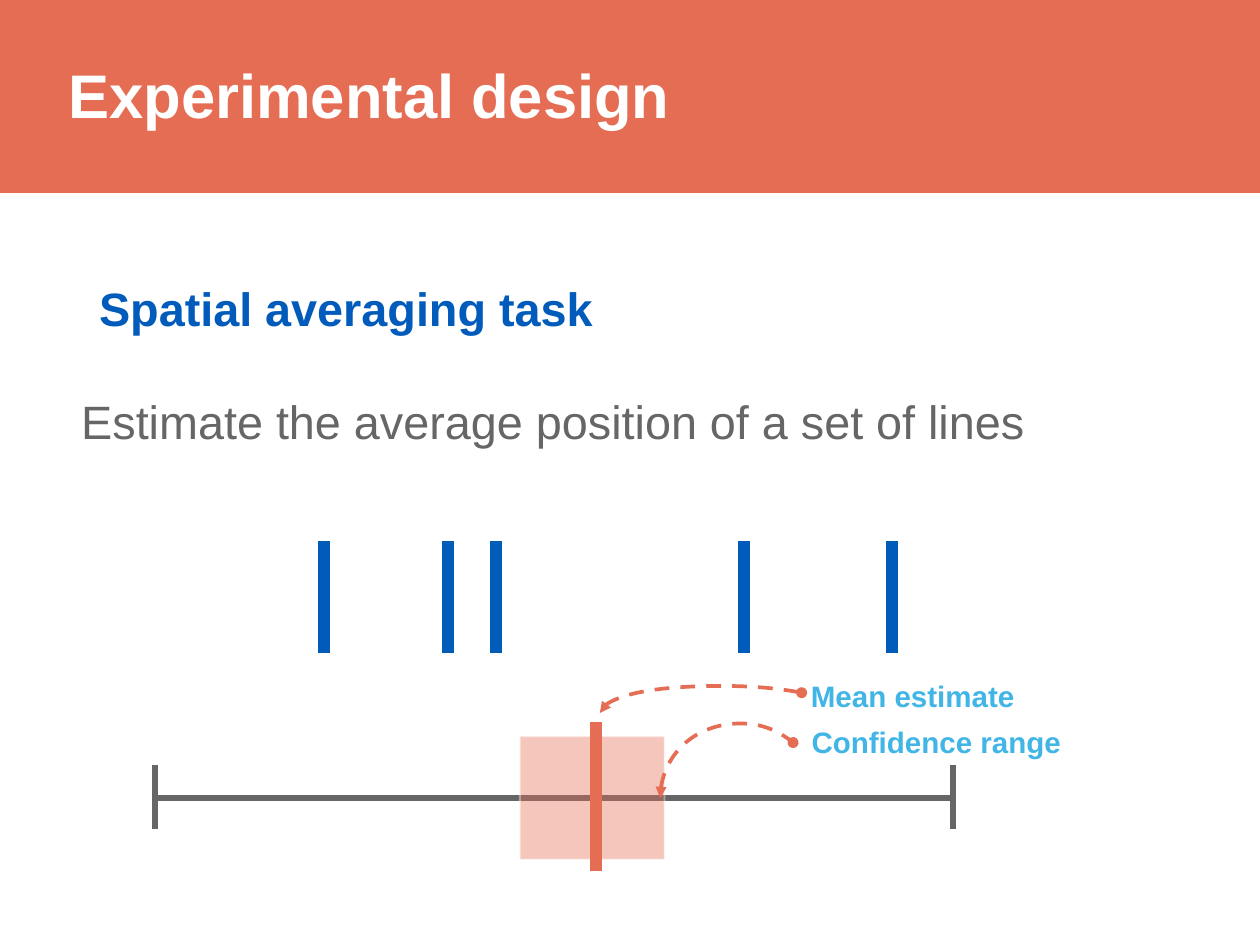
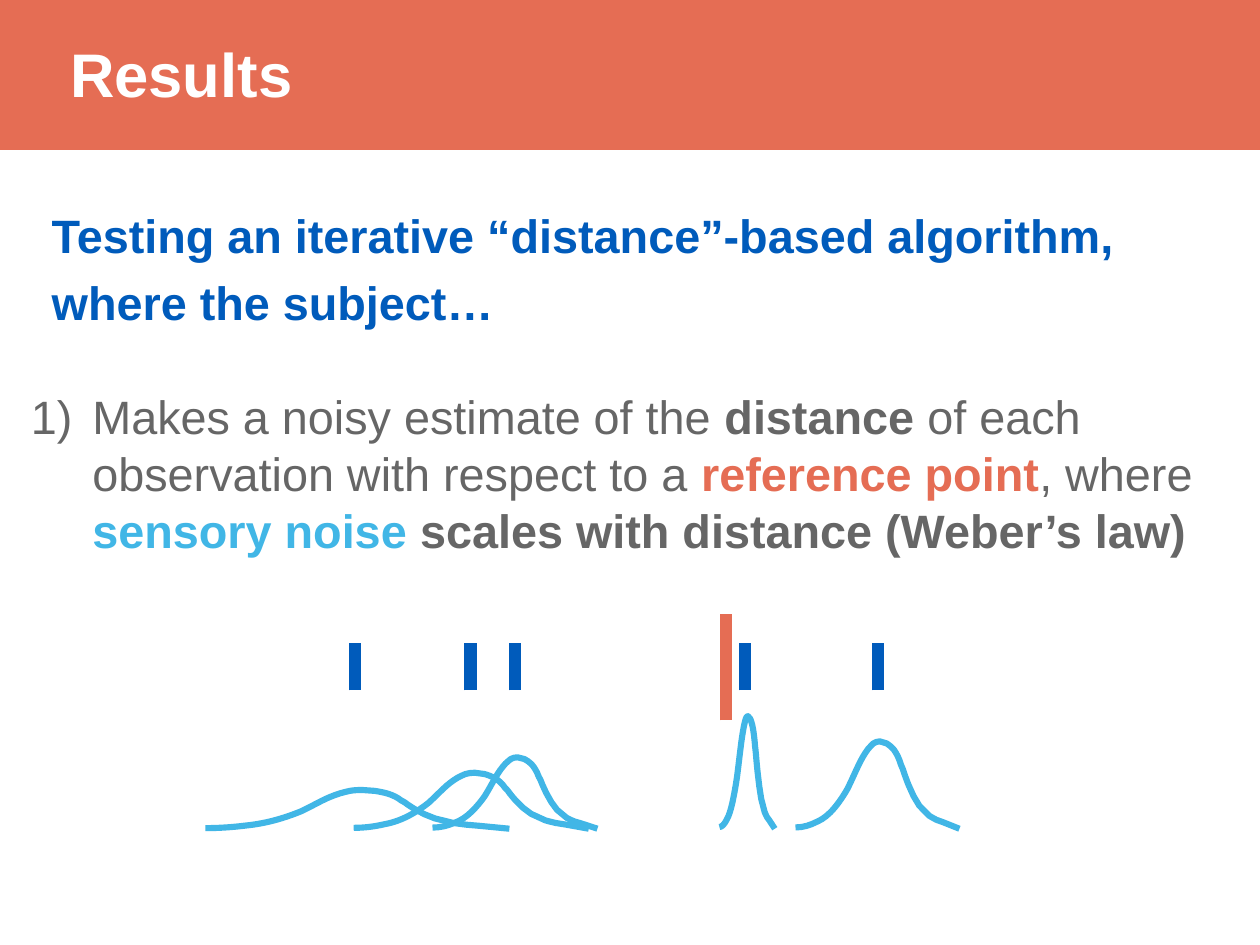
from lxml.etree import SubElement, Element
from pptx import Presentation
from pptx.dml.color import RGBColor
from pptx.enum.dml import MSO_LINE
from pptx.enum.shapes import MSO_CONNECTOR, MSO_SHAPE
from pptx.enum.text import MSO_ANCHOR, MSO_AUTO_SIZE, PP_ALIGN
from pptx.oxml.ns import qn
from pptx.util import Pt


class Theme:
    font = "Arial"
    coral = RGBColor(0xE5, 0x6D, 0x54)
    blue = RGBColor(0x00, 0x5B, 0xBB)
    sky = RGBColor(0x41, 0xB6, 0xE6)
    gray = RGBColor(0x66, 0x66, 0x66)
    white = RGBColor(0xFF, 0xFF, 0xFF)
    title = 50
    body = 38
    label = 24


def write(shape, box, rows, size, color, bold=False, before=0, lead=None):
    shape.left, shape.top, shape.width, shape.height = map(Pt, box)
    frame = shape.text_frame
    frame.word_wrap = True
    frame.auto_size = MSO_AUTO_SIZE.NONE
    frame.vertical_anchor = MSO_ANCHOR.MIDDLE
    frame.margin_left = frame.margin_right = Pt(4)
    frame.margin_top = frame.margin_bottom = Pt(4)
    frame.text = "\n".join(rows)
    for para in frame.paragraphs:
        para.alignment = PP_ALIGN.LEFT
        para.space_before = Pt(before)
        para.line_spacing = Pt(lead) if lead else 1.0
        para.font.name = Theme.font
        para.font.size = Pt(size)
        para.font.bold = bold
        para.font.color.rgb = color
    return frame


def ink(shape, color, width):
    shape.line.color.rgb = color
    shape.line.width = Pt(width)
    SubElement(shape._element.spPr, qn("a:effectLst"))


deck = Presentation()
deck.slide_width, deck.slide_height = Pt(1024), Pt(768)

pages = []
for name, depth, left, top in [("Experimental design", 159, 51.5, 44.5),
                               ("Results", 124.5, 53, 27.5)]:
    page = deck.slides.add_slide(deck.slide_layouts[1])
    head = page.shapes.title
    write(head, (left, top, 842, 63.5), [name],
          Theme.title, Theme.white, True)
    band = page.shapes.add_shape(MSO_SHAPE.RECTANGLE, Pt(-4), Pt(-3),
                                 Pt(1058), Pt(depth))
    band.fill.solid()
    band.fill.fore_color.rgb = Theme.coral
    ink(band, Theme.coral, 1)
    head._element.addprevious(band._element)
    pages.append(page)
design, results = pages

texts = [
    (design, (76.5, 198, 410, 104), ["Spatial averaging task"],
     Theme.body, Theme.blue, True, 12),
    (design, (655.5, 585.5, 217.5, 34.5), ["Confidence range"],
     Theme.label, Theme.sky, True),
    (design, (655, 548.5, 217.5, 34.5), ["Mean estimate"],
     Theme.label, Theme.sky, True),
    (results, (38, 137.5, 876, 160.5),
     ["Testing an iterative “distance”-based algorithm,",
      "where the subject…"], Theme.body, Theme.blue, True, 8, 46),
]
for page, *rest in texts:
    write(page.shapes.add_textbox(0, 0, 0, 0), *rest)

frame = write(design.placeholders[1], (62, 288, 780, 108),
              ["Estimate the average position of a set of lines"],
              Theme.body, Theme.gray, before=10, lead=46)
props = frame.paragraphs[0]._p.pPr
props.set("marL", "0")
props.set("indent", "0")
props[-1].addprevious(Element(qn("a:buNone")))

frame = write(results.placeholders[1], (21, 282.5, 1008, 203), [""],
              Theme.body, Theme.gray, before=12, lead=46)
para = frame.paragraphs[0]
props = para._p.pPr
props.set("marL", str(Pt(50)))
props.set("indent", str(Pt(-50)))
props[-1].addprevious(Element(qn("a:buAutoNum"), type="arabicParenR"))
for words, color, bold in [
    ("Makes a noisy estimate of the ", Theme.gray, False),
    ("distance", Theme.gray, True),
    (" of each observation with respect to a ", Theme.gray, False),
    ("reference point", Theme.coral, True),
    (", where ", Theme.gray, False),
    ("sensory noise ", Theme.sky, True),
    ("scales with distance (Weber’s law)", Theme.gray, True),
]:
    run = para.add_run()
    run.text = words
    run.font.bold = bold
    run.font.color.rgb = color

area = design.shapes.add_shape(MSO_SHAPE.RECTANGLE, Pt(422.5), Pt(598.5),
                               Pt(117.5), Pt(100))
area.fill.solid()
area.fill.fore_color.rgb = Theme.coral
ink(area, Theme.white, 1.5)
for tone in area._element.spPr.iter(qn("a:srgbClr")):
    SubElement(tone, qn("a:alpha"), val="39000")

lines = [(design, x, 531, x, 439.5, Theme.blue, 10)
         for x in (263.5, 364.3, 403.2, 604.8, 725)]
lines += [(results, x, 561, x, 522.3, Theme.blue, 10)
          for x in (288.7, 382.3, 418.3, 605.5, 713.5)]
lines += [(design, x, 673.5, x, 622, Theme.gray, 5) for x in (126, 774.7)]
lines += [
    (design, 125.5, 648.7, 774, 648.7, Theme.gray, 5),
    (design, 484.5, 708, 484.5, 587, Theme.coral, 10),
    (results, 590.3, 585.5, 590.3, 499, Theme.coral, 10),
]
for page, *ends, color, width in lines:
    link = page.shapes.add_connector(MSO_CONNECTOR.STRAIGHT, *map(Pt, ends))
    ink(link, color, width)
    if color == Theme.gray:
        area._element.addprevious(link._element)

bell = [
    (0, 98.5),
    (4.7, 98.5, 9, 96, 13.1, 92),
    (17, 89, 20.4, 83.5, 23.6, 76.5),
    (26.5, 70, 29.4, 62, 31.8, 54),
    (34, 45.7, 36, 37, 38.2, 28.3),
    (40, 21, 42, 14.5, 44.3, 8.7),
    (45.5, 6.3, 46.5, 4, 47.5, 2.4),
    (48.7, 0.8, 50.1, 0, 51.5, 0),
    (55.7, 2.4),
    (57, 4, 58.6, 6.3, 60, 9.5),
    (61.8, 14, 63.3, 20, 64.4, 27),
    (65.2, 30, 66, 34, 66.5, 37.5),
    (67.3, 41.5, 68, 45.5, 69, 50),
    (72, 62.5), (75.5, 73.5), (81.5, 85),
    (82.3, 86, 83.2, 87, 84, 87.8),
    (84.7, 88.6, 85.4, 89.2, 86, 89.8),
    (90, 92.5), (100, 100),
]
range_arc = [(536.5, 648.5), (536.5, 615.5, 566, 588, 602, 588),
             (618, 588, 633, 594, 644.5, 603.5)]
mean_arc = [(487.5, 579.5), (487.5, 567.5, 532, 557.5, 587, 557.5),
            (610.5, 557.5, 633.5, 559.5, 651.5, 563)]

curves = [(design, arc, 0, 0, 1, 1) for arc in (range_arc, mean_arc)]
curves += [(results, bell, left, 673.5 - high, wide / 100, high / 100)
           for left, wide, high in [(584.7, 45, 91.5), (646.5, 133.2, 71),
                                    (351.5, 134, 58), (287.5, 191, 45.5),
                                    (167, 247, 31.5)]]
for page, route, left, top, across, down in curves:
    legs = [[(Pt(left + x * across), Pt(top + y * down))
             for x, y in zip(leg[::2], leg[1::2])] for leg in route]
    pen = page.shapes.build_freeform(*legs[0][-1], scale=1.0)
    pen.add_line_segments([leg[-1] for leg in legs[1:]], close=False)
    curve = pen.convert_to_shape()
    parts = list(curve._element.spPr.iter(qn("a:lnTo")))
    for part, leg in zip(parts, legs[1:]):
        if len(leg) == 3:
            bend = Element(qn("a:cubicBezTo"))
            for x, y in leg:
                SubElement(bend, qn("a:pt"), x=str(x - curve.left),
                           y=str(y - curve.top))
            part.getparent().replace(part, bend)
    curve.fill.background()
    if page is results:
        ink(curve, Theme.sky, 5)
    else:
        ink(curve, Theme.coral, 3)
        curve.line.dash_style = MSO_LINE.DASH
        edge = curve._element.spPr.find(qn("a:ln"))
        SubElement(edge, qn("a:headEnd"), type="triangle")
        SubElement(edge, qn("a:tailEnd"), type="oval")

deck.save("out.pptx")
